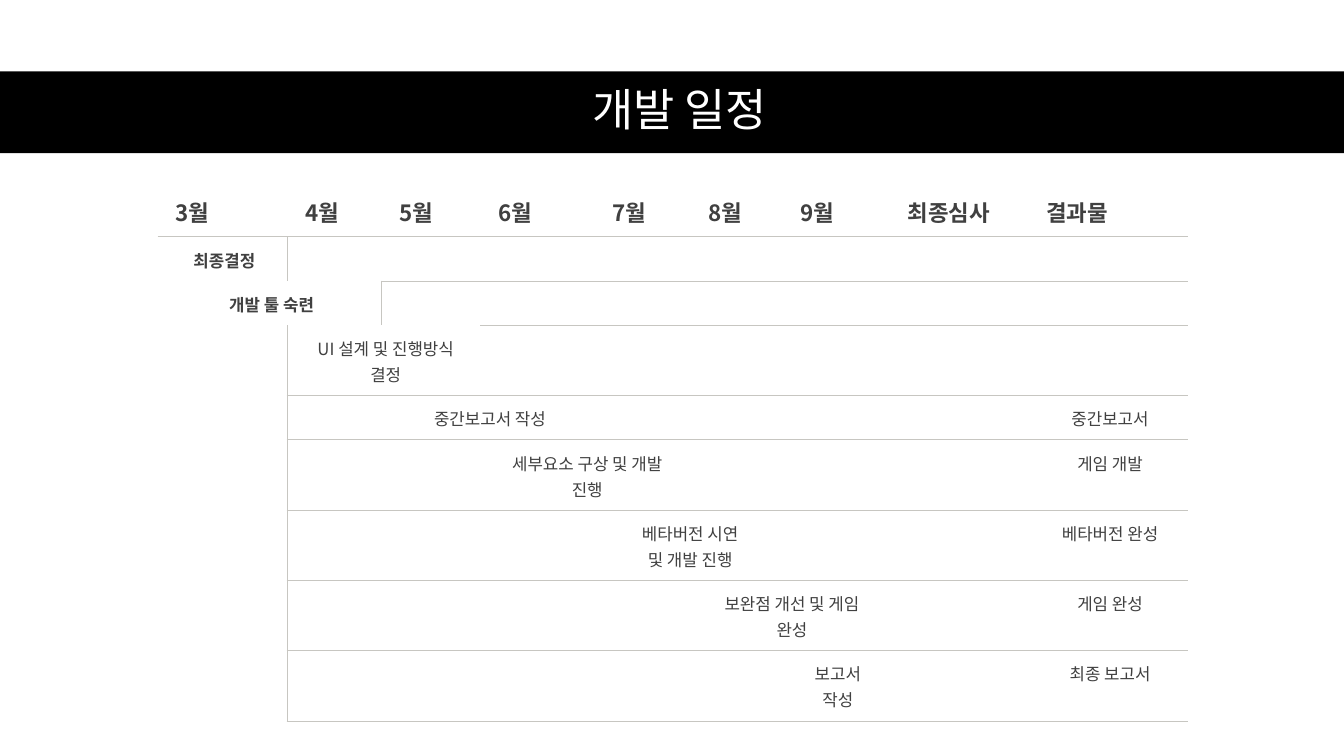
from lxml import etree
from pptx import Presentation
from pptx import util as u
from pptx.dml.color import RGBColor
from pptx.enum import shapes, text
from pptx.oxml import ns

FONT = "Noto Sans CJK KR"
GRID_COLOUR = "C7C6C1"


def style_font(paragraph, size, colour, bold=False):
    font = paragraph.font
    font.name, font.size, font.bold = FONT, u.Pt(size), bold
    font.color.rgb = RGBColor.from_string(colour)
    properties = paragraph._p.pPr.find(ns.qn("a:defRPr"))
    etree.SubElement(properties, ns.qn("a:ea"), typeface=FONT)


def set_borders(cell, edges):
    properties = cell._tc.get_or_add_tcPr()
    for index, (side, visible) in enumerate(edges.items()):
        line = etree.Element(ns.qn("a:ln" + side), w=str(u.Pt(0.75)))
        if visible:
            fill = etree.SubElement(line, ns.qn("a:solidFill"))
            etree.SubElement(fill, ns.qn("a:srgbClr"), val=GRID_COLOUR)
        else:
            etree.SubElement(line, ns.qn("a:noFill"))
        properties.insert(index, line)


presentation = Presentation()
presentation.slide_width, presentation.slide_height = u.Pt(960), u.Pt(540)
slide = presentation.slides.add_slide(presentation.slide_layouts[5])

# Title on a black band
title = slide.shapes.title
band = slide.shapes.add_shape(shapes.MSO_SHAPE.RECTANGLE, 0, u.Pt(51), u.Pt(960), u.Pt(58.5))
band.shadow.inherit = False
band.fill.solid()
band.fill.fore_color.rgb = RGBColor.from_string("000000")
band.line.fill.background()
title._element.addprevious(band._element)

title.left, title.top, title.width, title.height = u.Pt(44), u.Pt(50.5), u.Pt(883), u.Pt(58.5)
title.text_frame.text = "개발 일정"
title.text_frame.vertical_anchor = text.MSO_ANCHOR.MIDDLE
title.text_frame.auto_size = text.MSO_AUTO_SIZE.NONE
heading = title.text_frame.paragraphs[0]
heading.alignment = text.PP_ALIGN.CENTER
heading.line_spacing = 0.9
style_font(heading, 32, "FFFFFF")

# Schedule: cell texts by (row, column), with the number of columns covered
months = ["3월", "4월", "5월", "6월", "7월", "8월", "9월", "최종심사", "결과물"]
tasks = {
    (1, 0): ("최종결정", 1),
    (2, 0): ("개발 툴 숙련", 2),
    (3, 1): ("UI 설계 및 진행방식 결정", 2),
    (4, 2): ("중간보고서 작성", 2),
    (5, 3): ("세부요소 구상 및 개발 진행", 2),
    (6, 4): ("베타버전 시연\n및 개발 진행", 2),
    (7, 5): ("보완점 개선 및 게임 완성", 2),
    (8, 6): ("보고서 작성", 1),
    (4, 8): ("중간보고서", 1),
    (5, 8): ("게임 개발", 1),
    (6, 8): ("베타버전 완성", 1),
    (7, 8): ("게임 완성", 1),
    (8, 8): ("최종 보고서", 1),
}
entries = {(0, column): (month, 1) for column, month in enumerate(months)} | tasks

column_widths = [92.5, 67.5, 70.5, 81.5, 68.5, 65.5, 77, 99, 114]
row_heights = [34.5, 29.5, 29.5] + [44.5, 29.5] + [44.5] * 4
# First column of the rule under each row, and column whose left side is ruled
rule_starts = [0, 2, 3] + [1] * 6
upright_columns = [None, 1, 2] + [1] * 6

frame = slide.shapes.add_table(len(row_heights), len(column_widths), u.Pt(112.5), u.Pt(131.5),
                               u.Pt(sum(column_widths)), u.Pt(sum(row_heights)))
table = frame.table
table.first_row = table.horz_banding = False
for column, width in zip(table.columns, column_widths):
    column.width = u.Pt(width)
for row, height in zip(table.rows, row_heights):
    row.height = u.Pt(height)

for row in range(len(row_heights)):
    for column in range(len(column_widths)):
        cell = table.cell(row, column)
        content, span = entries.get((row, column), ("", 1))
        cell.margin_left, cell.margin_right = u.Pt(13), u.Pt(10)
        cell.margin_top = cell.margin_bottom = u.Pt(6.5)
        cell.fill.background()
        set_borders(cell, {
            "L": column == upright_columns[row],
            "R": column + span == upright_columns[row],
            "T": row > 0 and column >= rule_starts[row - 1],
            "B": column >= rule_starts[row],
        })
        if span > 1:
            cell.merge(table.cell(row, column + span - 1))
        cell.text_frame.text = content
        for paragraph in cell.text_frame.paragraphs:
            paragraph.line_spacing = 1.07
            paragraph.alignment = text.PP_ALIGN.CENTER if row else text.PP_ALIGN.LEFT
            style_font(paragraph, 12 if row else 16, "404040", bold=row == 0 or column == 0)
            if not content:
                # Keeps empty cells from stretching their row
                etree.SubElement(paragraph._p, ns.qn("a:endParaRPr"), sz="1200")

presentation.save("out.pptx")
